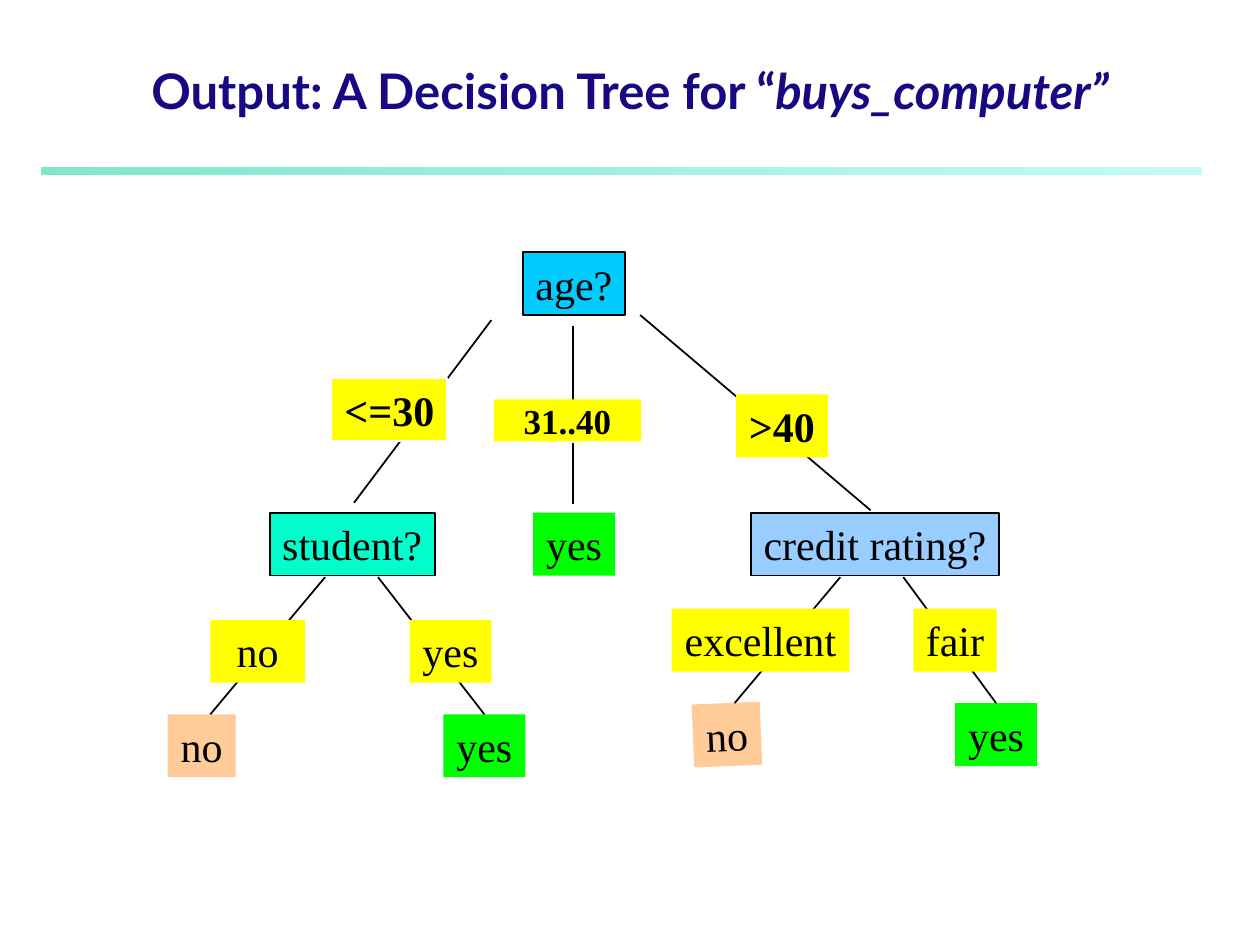
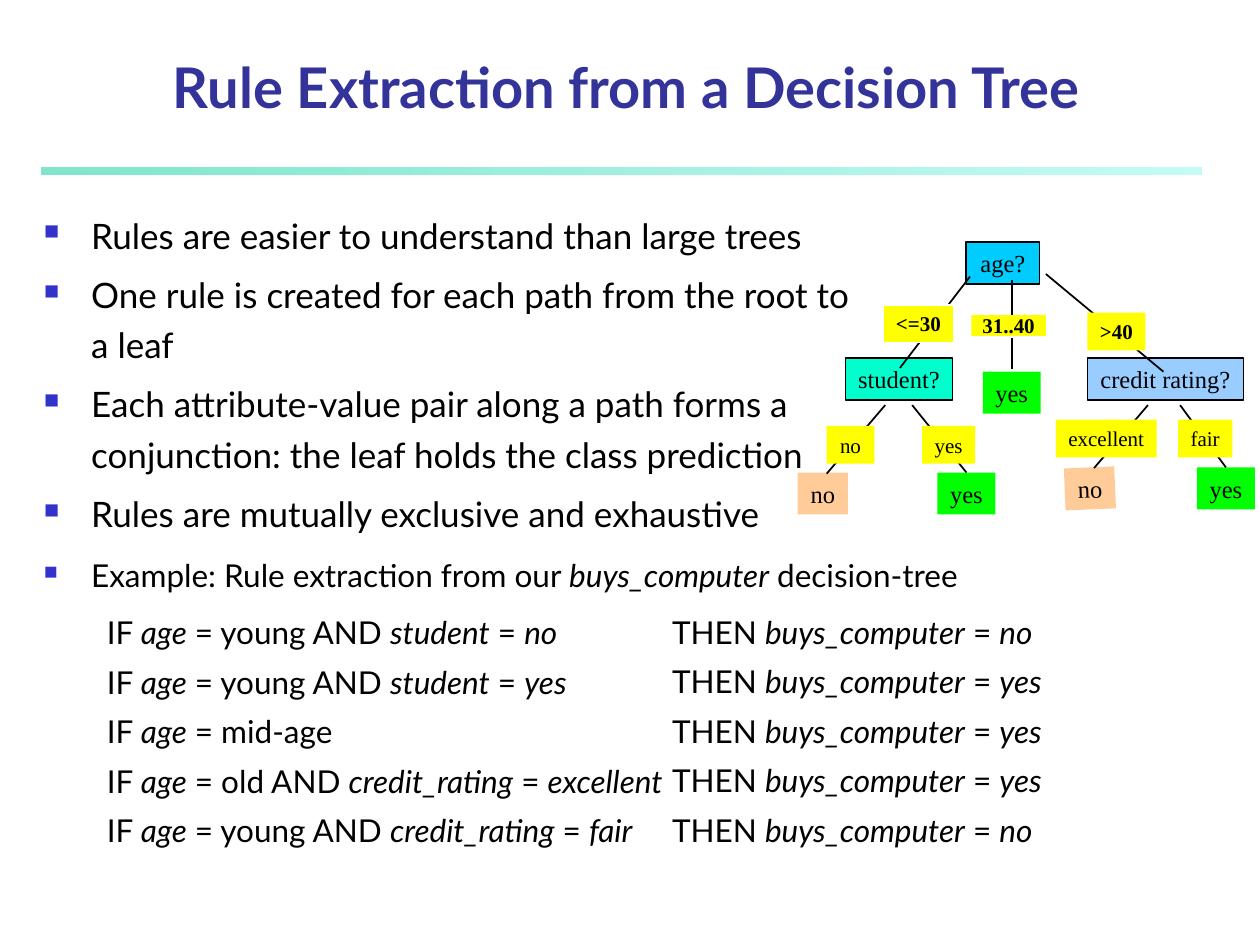
"""Build two slides on decision trees and the rules extracted from them."""
from collections import namedtuple

from lxml import etree
from pptx import Presentation
from pptx import util as u
from pptx.dml.color import RGBColor
from pptx.enum import shapes, text
from pptx.oxml.ns import qn

Pt = u.Pt
BLACK = RGBColor(0x00, 0x00, 0x00)
WHITE = RGBColor(0xFF, 0xFF, 0xFF)
NAVY = RGBColor(0x17, 0x09, 0x81)
INDIGO = RGBColor(0x33, 0x33, 0x99)
BULLET_BLUE = RGBColor(0x33, 0x33, 0xCC)
BAND_GREEN = RGBColor(0x00, 0xCE, 0x98)
BAND_AQUA = RGBColor(0x8F, 0xF9, 0xEF)
SKY = RGBColor(0x00, 0xCC, 0xFF)
TURQUOISE = RGBColor(0x00, 0xFF, 0xCC)
PALE_BLUE = RGBColor(0x99, 0xCC, 0xFF)
YELLOW = RGBColor(0xFF, 0xFF, 0x00)
PEACH = RGBColor(0xFF, 0xCC, 0x99)
GREEN = RGBColor(0x00, 0xFF, 0x00)

SANS, SERIF = "Lato", "Times New Roman"
CENTER = text.PP_ALIGN.CENTER
TOP, MIDDLE, BOTTOM = (text.MSO_ANCHOR.TOP, text.MSO_ANCHOR.MIDDLE,
                       text.MSO_ANCHOR.BOTTOM)
GROW = text.MSO_AUTO_SIZE.SHAPE_TO_FIT_TEXT
FIXED = text.MSO_AUTO_SIZE.NONE

Tree = namedtuple("Tree", "index x_origin x_scale y_origin y_scale "
                  "node_size node_height branch_size branch_height "
                  "range_size range_height")
LARGE_TREE = Tree(0, 0, 1, 0, 1, 24, 36, 24, 36, 20, 24)
SMALL_TREE = Tree(1, 411.1, 0.51, 66.6, 0.5, 14, 24, 12, 21.6, 12, 12)

TESTS = [
    ("age?", SKY, (298.8, 144, 58.3), (552.2, 138.2, 41.8)),
    ("student?", TURQUOISE, (154.1, 293, 94.3), (483.1, 204.5, 61.2)),
    ("credit rating?", PALE_BLUE, (429.1, 293, 141.8), (621.4, 204.5, 89.3)),
]
LEAVES = [
    ("no", 0, (95.8, 408.2, 38.9), (455.8, 270, 28.8)),
    ("yes", 0, (253.4, 408.2, 46.8), (535.7, 270, 33.1)),
    ("yes", 0, (545.8, 401.8, 46.8), (684, 267.1, 33.1)),
    ("yes", 0, (304.6, 293, 46.8), (561.6, 212.4, 33.1)),
    ("no", 357.6, (396, 401.8, 38.9), (608.4, 267.1, 28.8)),
]
AGE_BRANCHES = [
    ("<=30", WHITE, (189.4, 216, 66.2), (504.7, 174.2, 40.3)),
    (">40", None, (420.5, 225.4, 52.6), (621.4, 178.6, 33.1)),
]
AGE_RANGE = ("31..40", (282.2, 228.2, 84.2), (555.1, 180, 42.5))
BRANCHES = [
    ("fair", False, (522, 347.8, 47.5), (673.2, 239.8, 31)),
    ("excellent", False, (383.8, 347.8, 101.5), (603.4, 239.8, 57.6)),
    ("yes", False, (234, 354.2, 46.8), (527, 243.4, 30.2)),
    ("no", True, (120.2, 354.2, 54), (472.3, 243.4, 27.4)),
]
EDGES = [
    ((280.8, 182.9), (202.3, 287.3), None),
    ((327.6, 186.5), (327.6, 229.7), None),
    ((365.8, 180), (497.5, 291.6), None),
    ((185.8, 329.8), (120.2, 408.2), None),
    ((216, 329.8), (275.8, 408.2), 1),
    ((480.2, 329.8), (419.8, 401.8), None),
    ((516.2, 329.8), (570.2, 401.8), 2),
    ((327.6, 253.4), (327.6, 288), None),
]

FACTS = [
    "Rules are easier to understand than large trees",
    "One rule is created for each path from the root to a leaf",
    "Each attribute-value pair along a path forms a conjunction: "
    "the leaf holds the class prediction",
    "Rules are mutually exclusive and exhaustive",
]
EXAMPLE = "Example: Rule extraction from our *buys_computer* decision-tree"
RULES = [
    ("young AND *student* = *no*", "no"),
    ("young AND *student* = *yes*", "yes"),
    ("mid-age", "yes"),
    ("old AND *credit_rating* = *excellent*", "yes"),
    ("young AND *credit_rating* = *fair*", "no"),
]


def set_all(target, values):
    """Set every attribute named in values on target."""
    for name, value in values.items():
        setattr(target, name, value)


def write(paragraph, marked, size, color, font=SANS, bold=False):
    """Write text whose parts between asterisks are italic."""
    for position, part in enumerate(marked.split("*")):
        if part:
            run = paragraph.add_run()
            run.text = part
            set_all(run.font, {"name": font, "size": Pt(size), "bold": bold,
                               "italic": position % 2 == 1})
            run.font.color.rgb = color


def add_text_area(slide, place, anchor=TOP):
    """Add a wrapping text area and return its frame."""
    frame = slide.shapes.add_textbox(*map(Pt, place)).text_frame
    set_all(frame, {"word_wrap": True, "vertical_anchor": anchor,
                    "auto_size": FIXED})
    return frame


def add_title(slide, title, left, width, size, color):
    """Add the centred slide title."""
    paragraph = add_text_area(slide, (left, 24, width, 48), BOTTOM).paragraphs[0]
    paragraph.alignment = CENTER
    write(paragraph, title, size, color, bold=True)


def add_band(slide):
    """Add the translucent gradient band under the title."""
    band = slide.shapes.add_shape(shapes.MSO_SHAPE.RECTANGLE,
                                  Pt(24), Pt(96), Pt(662.4), Pt(3.6))
    band.shadow.inherit = False
    band.line.fill.background()
    band.fill.gradient()
    band.fill.gradient_angle = 0
    for stop, color in zip(band.fill.gradient_stops, (BAND_GREEN, BAND_AQUA)):
        stop.color.rgb = color
    for color, alpha in zip(band.element.spPr.iter(qn("a:srgbClr")), (50, 52)):
        etree.SubElement(color, qn("a:alpha")).set("val", str(alpha * 1000))


def add_box(slide, label, place, height, size, fill, outline=None,
            bold=False, rotation=0, **frame_values):
    """Add one labelled rectangle of a tree."""
    left, top, width = place
    box = slide.shapes.add_shape(shapes.MSO_SHAPE.RECTANGLE, Pt(left), Pt(top),
                                 Pt(width), Pt(height))
    box.shadow.inherit = False
    box.rotation = rotation
    box.fill.solid()
    box.fill.fore_color.rgb = fill
    if outline is None:
        box.line.fill.background()
    else:
        box.line.color.rgb = outline
        box.line.width = Pt(1)
    set_all(box.text_frame, {"word_wrap": False, "auto_size": GROW,
                             "vertical_anchor": TOP, **frame_values})
    paragraph = box.text_frame.paragraphs[0]
    paragraph.alignment = CENTER
    write(paragraph, label, size, BLACK, SERIF, bold)
    return box


def add_edge(slide, tree, start, end, leaf):
    """Add one tree edge, scaled to the tree and joined to its leaf."""
    ends = [Pt(value) for x, y in (start, end)
            for value in (tree.x_origin + tree.x_scale * x,
                          tree.y_origin + tree.y_scale * y)]
    edge = slide.shapes.add_connector(shapes.MSO_CONNECTOR.STRAIGHT, *ends)
    edge.line.color.rgb = BLACK
    edge.line.width = Pt(1)
    etree.SubElement(edge.element.spPr, qn("a:effectLst"))
    if leaf is not None:
        edge.end_connect(leaf, 0)


def add_tree(slide, tree):
    """Add the decision tree: tests, leaves, edges, then branch labels."""
    node = {"height": tree.node_height, "size": tree.node_size}
    branch = {"height": tree.branch_height, "size": tree.branch_size,
              "fill": YELLOW}
    for label, fill, *places in TESTS:
        add_box(slide, label, places[tree.index], fill=fill, outline=BLACK,
                **node)
    leaves = [add_box(slide, label, places[tree.index], rotation=rotation,
                      fill=GREEN if label == "yes" else PEACH, **node)
              for label, rotation, *places in LEAVES]
    for start, end, leaf in EDGES:
        add_edge(slide, tree, start, end,
                 None if leaf is None else leaves[leaf])
    for label, outline, *places in AGE_BRANCHES:
        add_box(slide, label, places[tree.index], outline=outline, bold=True,
                **branch)
    label, *places = AGE_RANGE
    add_box(slide, label, places[tree.index], tree.range_height,
            tree.range_size, YELLOW, bold=True, auto_size=FIXED,
            vertical_anchor=MIDDLE)
    for label, wrap, *places in BRANCHES:
        add_box(slide, label, places[tree.index], word_wrap=wrap, **branch)


def next_paragraph(frame, spacing, before):
    """Return the next empty paragraph, spaced from the one above."""
    first = frame.paragraphs[0]
    is_first = not first.runs
    paragraph = first if is_first else frame.add_paragraph()
    set_all(paragraph, {"line_spacing": spacing,
                        "space_before": Pt(0 if is_first else before)})
    return paragraph


def indent(paragraph, margin, hanging):
    """Set a hanging indent and return the paragraph properties."""
    properties = paragraph._p.get_or_add_pPr()
    properties.set("marL", str(Pt(margin)))
    properties.set("indent", str(-Pt(hanging)))
    return properties


def add_bullet(paragraph):
    """Give a paragraph a small square bullet."""
    properties = indent(paragraph, 27, 27)
    color = etree.SubElement(properties, qn("a:buClr"))
    etree.SubElement(color, qn("a:srgbClr")).set("val", str(BULLET_BLUE))
    etree.SubElement(properties, qn("a:buSzPct")).set("val", "60000")
    etree.SubElement(properties, qn("a:buChar")).set("char", "■")


def add_facts(slide):
    """Add the bulleted facts about rules."""
    frame = add_text_area(slide, (18, 114, 480, 210))
    for fact in FACTS:
        paragraph = next_paragraph(frame, 1.2, 5)
        add_bullet(paragraph)
        write(paragraph, fact, 20, BLACK)


def add_rules(slide):
    """Add the example, its rules and the column of their conclusions."""
    conditions = add_text_area(slide, (18, 312, 690, 186))
    conclusions = add_text_area(slide, (377, 344.6, 260, 153.4))
    example = next_paragraph(conditions, 1.1, 0)
    add_bullet(example)
    write(example, EXAMPLE, 18, BLACK)
    for number, (condition, outcome) in enumerate(RULES):
        paragraph = next_paragraph(conditions, 1.1, 4.5 if number else 9)
        indent(paragraph, 58.5, 22.5)
        write(paragraph, f"IF *age* = {condition}", 18, BLACK)
        write(next_paragraph(conclusions, 1.1, 4.5),
              f"THEN *buys_computer* = *{outcome}*", 18, BLACK)


def main():
    """Build both slides and save them."""
    deck = Presentation()
    set_all(deck, {"slide_width": Pt(720), "slide_height": Pt(540)})
    tree_slide, rule_slide = (deck.slides.add_slide(deck.slide_layouts[6])
                              for _ in range(2))

    add_band(tree_slide)
    add_title(tree_slide, "Output: A Decision Tree for “*buys_computer”*",
              0, 720, 28, NAVY)
    add_tree(tree_slide, LARGE_TREE)

    add_band(rule_slide)
    add_tree(rule_slide, SMALL_TREE)
    add_rules(rule_slide)
    add_title(rule_slide, "Rule Extraction from a Decision Tree",
              12, 692, 32, INDIGO)
    add_facts(rule_slide)
    deck.save("out.pptx")


if __name__ == "__main__":
    main()
